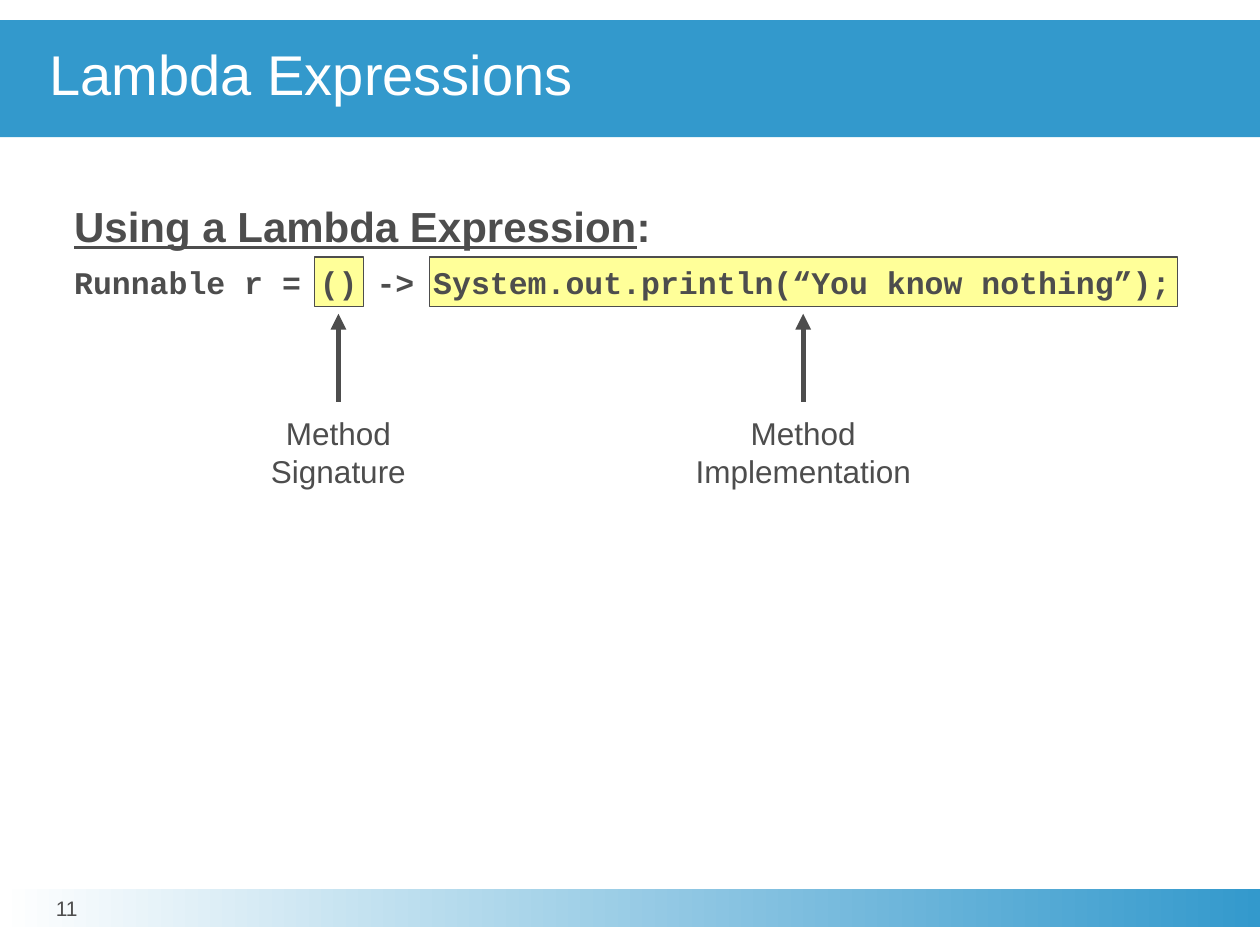
from pptx import Presentation
from pptx.dml.color import RGBColor
from pptx.enum.shapes import MSO_CONNECTOR, MSO_SHAPE
from pptx.enum.text import MSO_ANCHOR, PP_ALIGN
from pptx.oxml.ns import qn
from pptx.util import Pt
from lxml.etree import SubElement

THEME = {
    "blue": RGBColor.from_string("3399CC"),
    "white": RGBColor.from_string("FFFFFF"),
    "yellow": RGBColor.from_string("FFFF99"),
    "gray": RGBColor.from_string("4D4D4D"),
    "title": Pt(32),
    "heading": Pt(24),
    "body": Pt(18),
    "number": Pt(12),
    "sans": "Arial",
    "mono": "Courier New",
}


def add_rectangle(left, top, width, height, fill=None, line=None):
    """Add a flat rectangle with an optional solid fill and outline."""
    shape = slide.shapes.add_shape(
        MSO_SHAPE.RECTANGLE, Pt(left), Pt(top), Pt(width), Pt(height))
    shape.shadow.inherit = False
    if fill is not None:
        shape.fill.solid()
        shape.fill.fore_color.rgb = fill
    if line is None:
        shape.line.fill.background()
    else:
        shape.line.color.rgb = line
        shape.line.width = Pt(0.75)
    return shape


def write(paragraph, text, size, color=THEME["gray"], name=THEME["sans"], **extra):
    """Add a formatted run to a paragraph."""
    run = paragraph.add_run()
    run.text = text
    run.font.color.rgb = color
    for attribute, value in {"size": size, "name": name, **extra}.items():
        setattr(run.font, attribute, value)


presentation = Presentation()
presentation.slide_width, presentation.slide_height = Pt(720), Pt(540)
slide = presentation.slides.add_slide(presentation.slide_layouts[6])
no_margins = dict.fromkeys(
    ["margin_left", "margin_top", "margin_right", "margin_bottom"], 0)

# Footer band
footer = add_rectangle(0, 508.3, 720, 21.6)
footer.fill.gradient()
footer.fill.gradient_angle = 0
for stop, color, position in zip(
        footer.fill.gradient_stops, (THEME["white"], THEME["blue"]), (0, 1)):
    stop.color.rgb = color
    stop.position = position

# Highlighted code parts: box left, box width, arrow x, label lines
callouts = [
    (245.3, 427.7, 459, ("Method", "Implementation")),
    (179.6, 28.1, 193.4, ("Method", "Signature")),
]
label_width = 144
for left, width, center, label_lines in callouts:
    add_rectangle(left, 146.9, width, 28.1, THEME["yellow"], THEME["gray"])

    label = slide.shapes.add_textbox(
        Pt(center - label_width / 2), Pt(229.5), Pt(label_width), Pt(57.6))
    label.text_frame.word_wrap = True
    label.text_frame.vertical_anchor = MSO_ANCHOR.MIDDLE
    for index, text in enumerate(label_lines):
        paragraph = (label.text_frame.add_paragraph() if index
                     else label.text_frame.paragraphs[0])
        paragraph.alignment = PP_ALIGN.CENTER
        write(paragraph, text, THEME["body"])

    arrow = slide.shapes.add_connector(
        MSO_CONNECTOR.STRAIGHT, Pt(center), Pt(229.7), Pt(center), Pt(179.3))
    arrow.line.color.rgb = THEME["gray"]
    arrow.line.width = Pt(3)
    properties = arrow.element.spPr
    SubElement(properties.find(qn("a:ln")), qn("a:tailEnd"), type="triangle")
    SubElement(properties, qn("a:effectLst"))

# Title bar
title = add_rectangle(0, 11.5, 720, 66.8, THEME["blue"])
title_format = {**no_margins, "margin_left": Pt(28.4), "word_wrap": True,
                "vertical_anchor": MSO_ANCHOR.MIDDLE}
for attribute, value in title_format.items():
    setattr(title.text_frame, attribute, value)
paragraph = title.text_frame.paragraphs[0]
paragraph.alignment = PP_ALIGN.LEFT
paragraph.line_spacing = 0.85
write(paragraph, "Lambda Expressions", THEME["title"], THEME["white"])

# Slide number
number = slide.shapes.add_textbox(0, Pt(508.5), Pt(76.3), Pt(22.3))
number_format = {**no_margins, "word_wrap": True,
                 "vertical_anchor": MSO_ANCHOR.MIDDLE}
for attribute, value in number_format.items():
    setattr(number.text_frame, attribute, value)
paragraph = number.text_frame.paragraphs[0]
paragraph.alignment = PP_ALIGN.CENTER
paragraph.line_spacing = Pt(13)
write(paragraph, "11", THEME["number"])

# Heading and code line
body = slide.shapes.add_textbox(Pt(35.3), Pt(111.2), Pt(648), Pt(262.8))
body.text_frame.word_wrap = True
heading = body.text_frame.paragraphs[0]
write(heading, "Using a Lambda Expression", THEME["heading"], bold=True, underline=True)
write(heading, ":", THEME["heading"], bold=True)
code = body.text_frame.add_paragraph()
code.space_before = Pt(6.7)
write(code, "Runnable r = () -> System.out.println(“You know nothing”);",
      THEME["body"], name=THEME["mono"], bold=True)

presentation.save("out.pptx")
